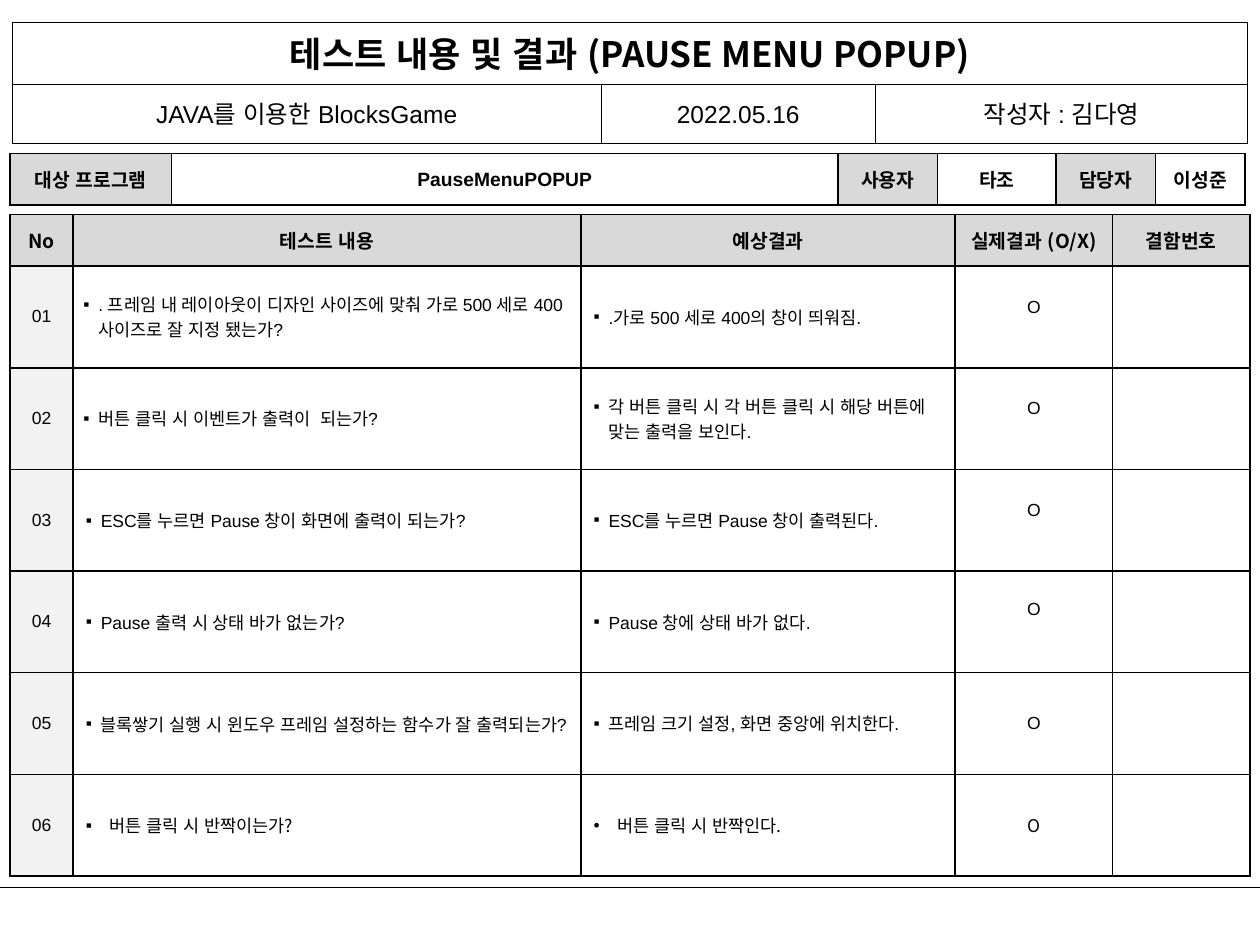
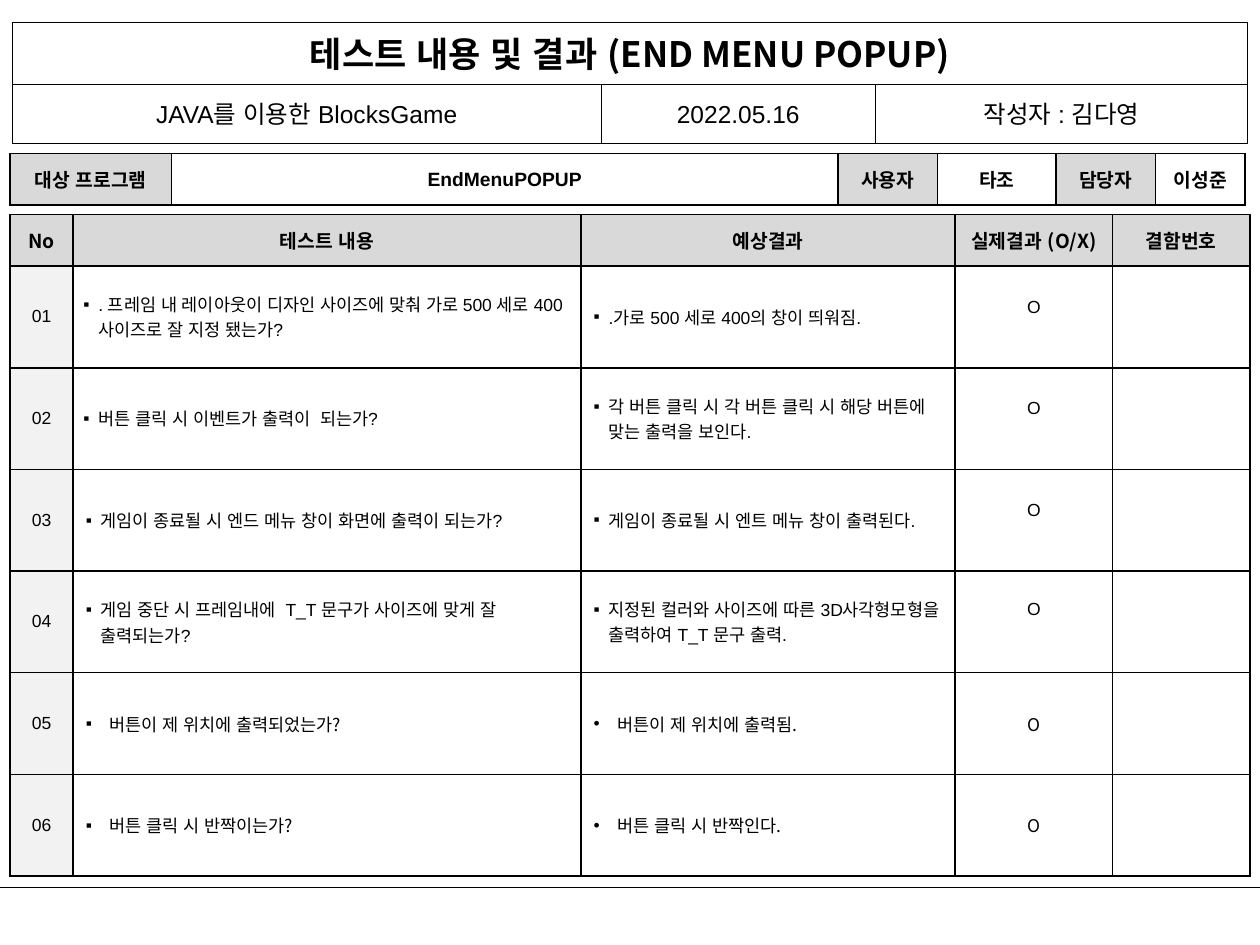
from dataclasses import dataclass
from typing import Optional

from lxml import etree
from pptx import Presentation
from pptx.dml.color import RGBColor
from pptx.enum.lang import MSO_LANGUAGE_ID
from pptx.enum.shapes import MSO_CONNECTOR, MSO_SHAPE
from pptx.enum.text import MSO_ANCHOR, PP_ALIGN
from pptx.oxml.ns import qn
from pptx.util import Pt

RECT = MSO_SHAPE.RECTANGLE
STRAIGHT = MSO_CONNECTOR.STRAIGHT
MIDDLE = MSO_ANCHOR.MIDDLE
CENTER = PP_ALIGN.CENTER
LEFT = PP_ALIGN.LEFT
KOREAN = MSO_LANGUAGE_ID.KOREAN

BLACK, WHITE, GRAY, PALE = "000000", "FFFFFF", "D9D9D9", "F2F2F2"
ARIAL, NOTO = "Arial", "Noto Sans CJK KR"
SLIDE_W, SLIDE_H = 720, 540
FOOTER_Y = 506.9
TABLE_X = 5.8
LINE_PT = 14
PROGRAM_COLS = [92.2, 380.9, 56.9, 67.7, 56.9, 51.1]
TEST_COLS = [36, 290.2, 213.8, 90, 78.5]
HEAD_H, ROW_H = 29.5, 58.1
TEST_HEADS = ["No", "테스트 내용", "예상결과", "실제결과 (O/X)", "결함번호"]


@dataclass
class Style:
    size: float = 10
    font: str = ARIAL
    bold: bool = False
    align: PP_ALIGN = CENTER
    spacing: Optional[float] = None
    bullet: str = ""
    indent: float = 8.6


@dataclass
class Band:
    x: float
    y: float
    w: float
    h: float
    text: str
    style: Style


@dataclass
class Check:
    question: str
    answer: str
    loose: bool = False


@dataclass
class Sheet:
    title: str
    program: str
    checks: list[Check]


HEAD = Style(11, NOTO, True)
LABEL = Style(11, ARIAL, True)
TITLE = Style(20, NOTO, True)
INFO = Style(14)

COMMON_CHECKS = [
    Check(". 프레임 내 레이아웃이 디자인 사이즈에 맞춰 가로 500 세로 400 사이즈로 잘 지정 됐는가?",
          ".가로 500 세로 400의 창이 띄워짐."),
    Check("버튼 클릭 시 이벤트가 출력이  되는가?",
          "각 버튼 클릭 시 각 버튼 클릭 시 해당 버튼에 맞는 출력을 보인다."),
]
BLINK_CHECK = Check("버튼 클릭 시 반짝이는가?", "버튼 클릭 시 반짝인다.", True)

SHEETS = [
    Sheet("PAUSE MENU POPUP", "PauseMenuPOPUP", [
        *COMMON_CHECKS,
        Check("ESC를 누르면 Pause 창이 화면에 출력이 되는가?", "ESC를 누르면 Pause 창이 출력된다."),
        Check("Pause 출력 시 상태 바가 없는가?", "Pause 창에 상태 바가 없다."),
        Check("블록쌓기 실행 시 윈도우 프레임 설정하는 함수가 잘 출력되는가?",
              "프레임 크기 설정, 화면 중앙에 위치한다."),
        BLINK_CHECK,
    ]),
    Sheet("END MENU POPUP", "EndMenuPOPUP", [
        *COMMON_CHECKS,
        Check("게임이 종료될 시 엔드 메뉴 창이 화면에 출력이 되는가?",
              "게임이 종료될 시 엔트 메뉴 창이 출력된다."),
        Check("게임 중단 시 프레임내에  T_T 문구가 사이즈에 맞게 잘 출력되는가?",
              "지정된 컬러와 사이즈에 따른 3D사각형모형을 출력하여 T_T 문구 출력."),
        Check("버튼이 제 위치에 출력되었는가?", "버튼이 제 위치에 출력됨.", True),
        BLINK_CHECK,
    ]),
]


def rgb(color: str) -> RGBColor:
    return RGBColor.from_string(color)


def write(tf, text: str, style: Style) -> None:
    p = tf.paragraphs[0]
    p.alignment = style.align
    if style.spacing:
        p.line_spacing = Pt(style.spacing)
    if style.bullet:
        pPr = p._p.get_or_add_pPr()
        pPr.set("marL", str(Pt(style.indent)))
        pPr.set("indent", str(-Pt(style.indent)))
        etree.SubElement(pPr, qn("a:buFont")).set("typeface", ARIAL)
        etree.SubElement(pPr, qn("a:buChar")).set("char", style.bullet)
    r = p.add_run()
    r.text = text
    r.font.size = Pt(style.size)
    r.font.name = style.font
    r.font.bold = style.bold
    r.font.color.rgb = rgb(BLACK)
    r.font.language_id = KOREAN
    ea = etree.Element(qn("a:ea"))
    ea.set("typeface", NOTO)
    r._r.get_or_add_rPr().find(qn("a:latin")).addnext(ea)


def add_bands(s, bands: list[Band]) -> None:
    group = s.shapes.add_group_shape()
    for band in bands:
        sp = group.shapes.add_shape(RECT, Pt(band.x), Pt(band.y), Pt(band.w), Pt(band.h))
        sp.shadow.inherit = False
        sp.fill.solid()
        sp.fill.fore_color.rgb = rgb(WHITE)
        sp.line.color.rgb = rgb(BLACK)
        sp.line.width = Pt(0.25)
        tf = sp.text_frame
        tf.word_wrap = True
        tf.vertical_anchor = MIDDLE
        write(tf, band.text, band.style)


def add_footer_line(s) -> None:
    line = s.shapes.add_connector(STRAIGHT, 0, Pt(FOOTER_Y), Pt(SLIDE_W), Pt(FOOTER_Y))
    line.line.color.rgb = rgb(BLACK)
    line.line.width = Pt(0.5)
    etree.SubElement(line._element.spPr, qn("a:effectLst"))


def add_grid(s, y: float, cols: list[float], rows: list[float]):
    frame = s.shapes.add_table(len(rows), len(cols), Pt(TABLE_X), Pt(y),
                               Pt(sum(cols)), Pt(sum(rows)))
    table = frame.table
    table.first_row = table.horz_banding = False
    for col, width in zip(table.columns, cols):
        col.width = Pt(width)
    for row, height in zip(table.rows, rows):
        row.height = Pt(height)
    for cell in table.iter_cells():
        cell.vertical_anchor = MIDDLE
        tcPr = cell._tc.get_or_add_tcPr()
        for side in ("a:lnL", "a:lnR", "a:lnT", "a:lnB"):
            ln = etree.SubElement(tcPr, qn(side), w=str(Pt(1)))
            fill = etree.SubElement(ln, qn("a:solidFill"))
            etree.SubElement(fill, qn("a:srgbClr"), val=BLACK)
        cell.fill.background()
    return table


def shade(cell, color: str) -> None:
    cell.fill.solid()
    cell.fill.fore_color.rgb = rgb(color)


def add_program_table(s, program: str) -> None:
    table = add_grid(s, 87.8, PROGRAM_COLS, [HEAD_H])
    texts = ["대상 프로그램", program, "사용자", "타조", "담당자", "이성준"]
    for i, text in enumerate(texts):
        cell = table.cell(0, i)
        write(cell.text_frame, text, LABEL)
        if i % 2 == 0:
            shade(cell, GRAY)


def add_test_table(s, checks: list[Check]) -> None:
    table = add_grid(s, 122.6, TEST_COLS, [HEAD_H] + [ROW_H] * len(checks))
    for i, text in enumerate(TEST_HEADS):
        write(table.cell(0, i).text_frame, text, HEAD)
        shade(table.cell(0, i), GRAY)
    for n, check in enumerate(checks, 1):
        number, question, answer, result, _ = table.rows[n].cells
        font = NOTO if check.loose else ARIAL
        indent = 13.7 if check.loose else 8.6
        write(number.text_frame, f"{n:02}", Style())
        shade(number, PALE)
        if n <= 2:
            question.margin_left = Pt(5.8)
        write(question.text_frame, check.question,
              Style(font=font, align=LEFT, bullet="▪", indent=indent,
                    spacing=LINE_PT if n <= 2 else None))
        write(answer.text_frame, check.answer,
              Style(font=font, align=LEFT, bullet="•" if check.loose else "▪",
                    indent=indent, spacing=None if check.loose else LINE_PT))
        if n <= 4:
            result.margin_bottom = Pt(3.6 + LINE_PT)
        write(result.text_frame, "O",
              Style(font=font, spacing=LINE_PT if n <= 3 else None))


def add_sheet(prs, sheet: Sheet) -> None:
    s = prs.slides.add_slide(prs.slide_layouts[6])
    add_footer_line(s)
    add_program_table(s, sheet.program)
    add_test_table(s, sheet.checks)
    add_bands(s, [
        Band(7.2, 13, 705.6, 35.2, f"테스트 내용 및 결과 ({sheet.title})", TITLE),
        Band(7.2, 48.2, 336.2, 33.8, "JAVA를 이용한 BlocksGame", INFO),
        Band(343.4, 48.2, 157, 33.8, "2022.05.16", INFO),
        Band(500.4, 48.2, 212.4, 33.8, "작성자 : 김다영", INFO),
    ])


prs = Presentation()
prs.slide_width = Pt(SLIDE_W)
prs.slide_height = Pt(SLIDE_H)
for sheet in SHEETS:
    add_sheet(prs, sheet)
prs.save("out.pptx")
